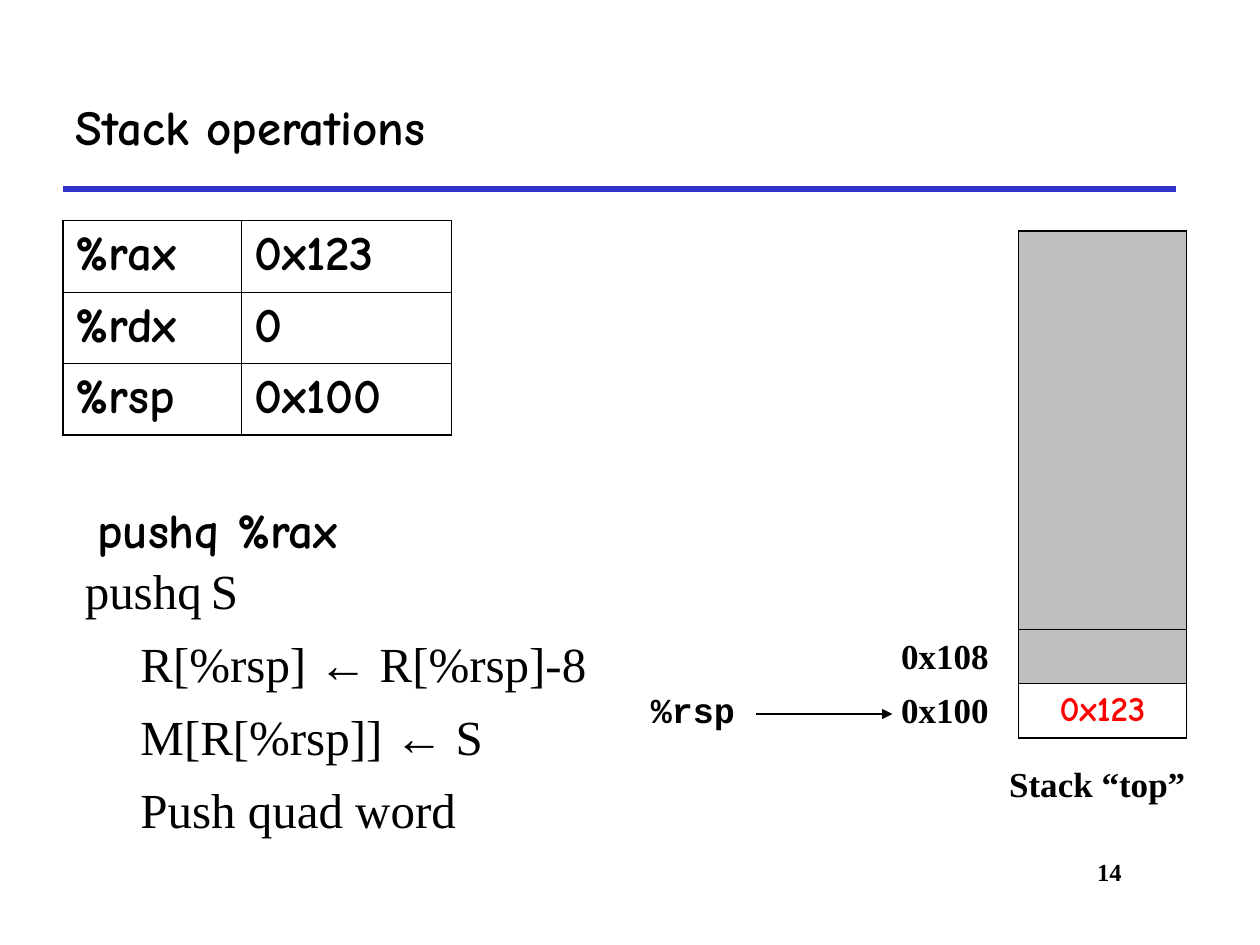
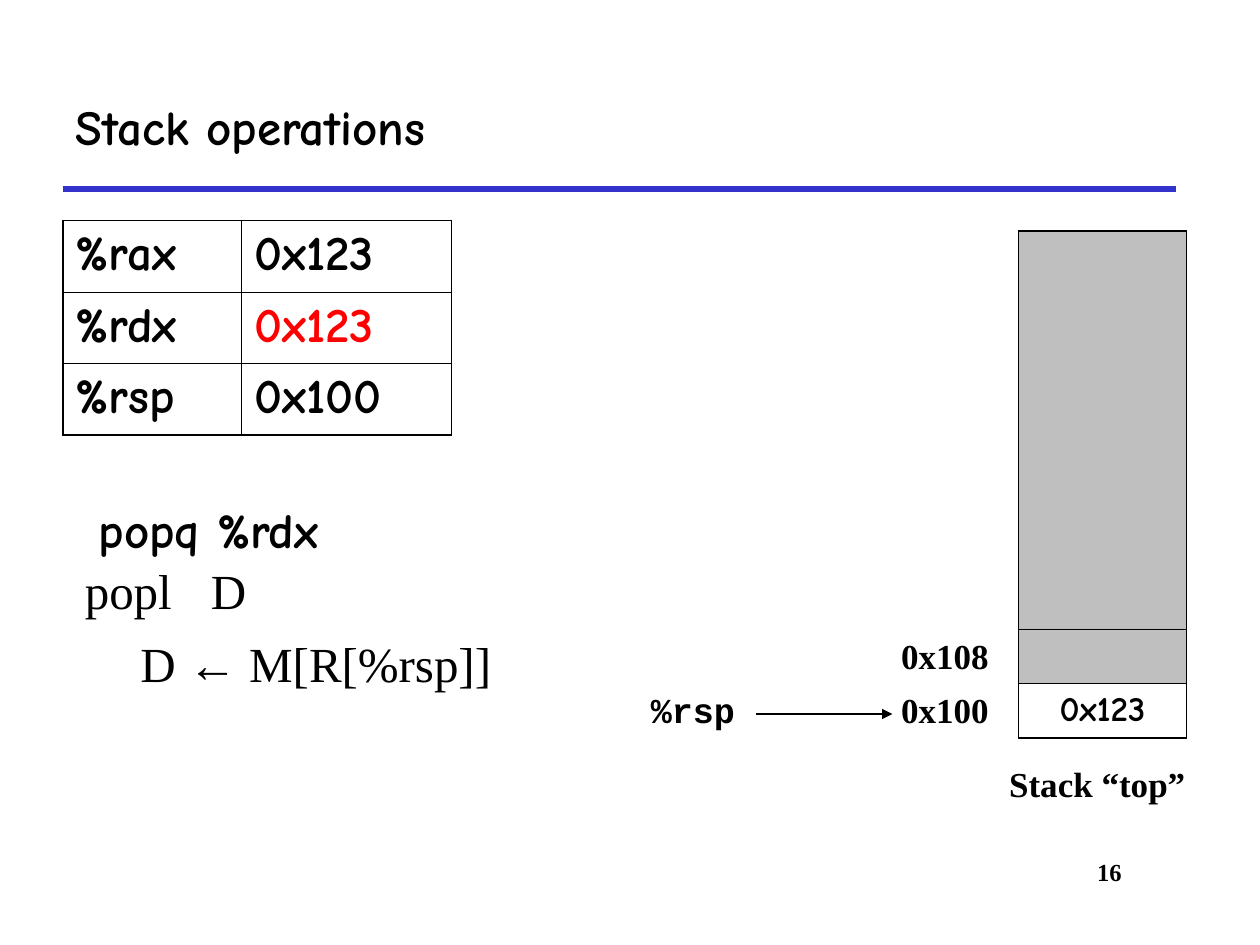
from dataclasses import dataclass

from lxml.etree import SubElement
from pptx import Presentation
from pptx.dml.color import RGBColor
from pptx.enum.shapes import MSO_CONNECTOR, MSO_SHAPE
from pptx.enum.text import MSO_ANCHOR, PP_ALIGN
from pptx.oxml import parse_xml
from pptx.oxml.ns import nsdecls, qn
from pptx.util import Emu, Pt

PX = 7620  # 120 px to the inch


@dataclass(frozen=True)
class Theme:
    black: str = "000000"
    white: str = "FFFFFF"
    gray: str = "808080"
    blue: str = "3333CC"
    red: str = "FF0000"
    hand: str = "Comic Neue"
    serif: str = "Times New Roman"
    mono: str = "Courier New"
    arrow: str = "Arial"
    large: int = 28
    label: int = 20
    footer: int = 14
    outer_border: float = 1.08
    inner_border: float = 0.45


THEME = Theme()


def px(*lengths):
    return [Emu(length * PX) for length in lengths]


# Text
def write(para, text, font=THEME.serif, size=THEME.label, color=THEME.black,
          bold=True, align=PP_ALIGN.LEFT, before=0, indent=0, tab=0):
    """Fill a paragraph; arrows get their own font."""
    para.alignment = align
    if before:
        para.space_before = Pt(before)
    properties = para._p.get_or_add_pPr()
    properties.set("marL", str(indent * PX))
    properties.set("indent", "0")
    if tab:
        stops = SubElement(properties, qn("a:tabLst"))
        SubElement(stops, qn("a:tab"), pos=str(tab * PX), algn="l")
    before_arrow, arrow, after_arrow = text.partition("←")
    for part in filter(None, (before_arrow, arrow, after_arrow)):
        span = para.add_run()
        span.text = part
        span.font.name = THEME.arrow if part == "←" else font
        span.font.size = Pt(size)
        span.font.bold = bold
        span.font.color.rgb = RGBColor.from_string(color)


def add_text(page, place, text, **style):
    box = page.shapes.add_textbox(*px(*place))
    box.text_frame.word_wrap = True
    write(box.text_frame.paragraphs[0], text, **style)
    return box


def add_label(page, place, text):
    """White-outlined label beside the stack."""
    label = page.shapes.add_shape(MSO_SHAPE.RECTANGLE, *px(*place))
    label.shadow.inherit = False
    label.fill.background()
    label.line.color.rgb = RGBColor.from_string(THEME.white)
    label.line.width = Pt(0.75)
    label.text_frame.word_wrap = True
    write(label.text_frame.paragraphs[0], text, align=PP_ALIGN.CENTER)


# Lines
def add_line(page, ends, color, width, arrowhead=False):
    line = page.shapes.add_connector(MSO_CONNECTOR.STRAIGHT, *px(*ends))
    line.line.color.rgb = RGBColor.from_string(color)
    line.line.width = Pt(width)
    if arrowhead:
        SubElement(line.line._get_or_add_ln(), qn("a:tailEnd"), type="triangle")
    SubElement(line._element.spPr, qn("a:effectLst"))


# Tables
def set_borders(cell, widths):
    """Widths run left, right, top, bottom."""
    properties = cell._tc.get_or_add_tcPr()
    for index, (side, width) in enumerate(zip("LRTB", widths)):
        properties.insert(index, parse_xml(
            f'<a:ln{side} {nsdecls("a")} w="{Pt(width)}"><a:solidFill>'
            f'<a:srgbClr val="{THEME.black}"/></a:solidFill></a:ln{side}>'))


def set_fill(cell, color):
    if color is None:
        cell.fill.background()
        return
    cell.fill.solid()
    cell.fill.fore_color.rgb = RGBColor.from_string(color)
    shade = cell._tc.tcPr.find(".//" + qn("a:srgbClr"))
    SubElement(shade, qn("a:alpha"), val="50000")


def add_grid(page, left, top, widths, heights, rows, fills, changed=None, **style):
    """Bordered table; the changed (row, column) cell is red."""
    frame = page.shapes.add_table(len(heights), len(widths),
                                  *px(left, top, sum(widths), sum(heights)))
    table = frame.table
    table.first_row = table.horz_banding = False
    for column, width in zip(table.columns, px(*widths)):
        column.width = width
    for row, height in zip(table.rows, px(*heights)):
        row.height = height
    last_row, last_column = len(heights) - 1, len(widths) - 1
    for i, texts in enumerate(rows):
        for j, text in enumerate(texts):
            cell = table.cell(i, j)
            set_fill(cell, fills[i])
            edges = (j == 0, j == last_column, i == 0, i == last_row)
            set_borders(cell, [THEME.outer_border if edge else THEME.inner_border
                               for edge in edges])
            color = THEME.red if (i, j) == changed else THEME.black
            write(cell.text_frame.paragraphs[0], text, font=THEME.hand,
                  color=color, **style)


# Slide parts
def add_page(deck, title, number):
    page = deck.slides.add_slide(deck.slide_layouts[5])
    heading = page.shapes.title
    heading.left, heading.top, heading.width, heading.height = px(60, 60, 1060, 120)
    heading.text_frame.vertical_anchor = MSO_ANCHOR.MIDDLE
    write(heading.text_frame.paragraphs[0], title, font=THEME.hand, size=THEME.large)
    add_line(page, (60, 180, 1120, 180), THEME.blue, 3)
    add_text(page, (910, 810, 170, 60), str(number), size=THEME.footer,
             align=PP_ALIGN.RIGHT)
    return page


def add_registers(page, rdx, changed):
    rows = [("%rax", "0x123"), ("%rdx", rdx), ("%rsp", "0x100")]
    add_grid(page, 60, 210, (170, 200), (68, 68, 68), rows, [None] * 3,
             changed, size=THEME.large)


def add_stack(page, changed):
    add_grid(page, 970, 220, (160,), (379, 52, 52), [("",), ("",), ("0x123",)],
             (THEME.gray, THEME.gray, THEME.white), changed, align=PP_ALIGN.CENTER)
    add_label(page, (840, 598, 120, 52), "0x108")
    add_label(page, (840, 650, 120, 52), "0x100")
    add_label(page, (940, 720, 210, 52), "Stack “top”")
    add_text(page, (600, 650, 120, 52), "%rsp", font=THEME.mono,
             align=PP_ALIGN.CENTER)
    add_line(page, (720, 680, 850, 680), THEME.black, 0.75, arrowhead=True)


def add_instruction(page, command, form, tab, effects):
    """Command, its general form and the effects below it."""
    add_text(page, (35, 470, 344, 68), command, font=THEME.hand,
             size=THEME.large, align=PP_ALIGN.CENTER)
    box = add_text(page, (69, 528, 550, 280), form, size=THEME.large,
                   bold=False, tab=tab)
    for effect in effects:
        write(box.text_frame.add_paragraph(), effect, size=THEME.large,
              bold=False, before=8, indent=53)


def main():
    deck = Presentation()
    deck.slide_width, deck.slide_height = px(1200, 900)

    # Push
    page = add_page(deck, "Stack operations", 14)
    add_registers(page, "0", changed=None)
    add_stack(page, changed=(2, 0))
    add_instruction(page, "pushq %rax", "pushq\tS", 170,
                    ["R[%rsp] ← R[%rsp]-8", "M[R[%rsp]] ← S", "Push quad word"])

    # Pop
    page = add_page(deck, "Stack operations", 16)
    add_registers(page, "0x123", changed=(1, 1))
    add_stack(page, changed=None)
    add_instruction(page, "popq %rdx ", "popl\tD", 165, ["D ← M[R[%rsp]]"])

    deck.save("out.pptx")


if __name__ == "__main__":
    main()
